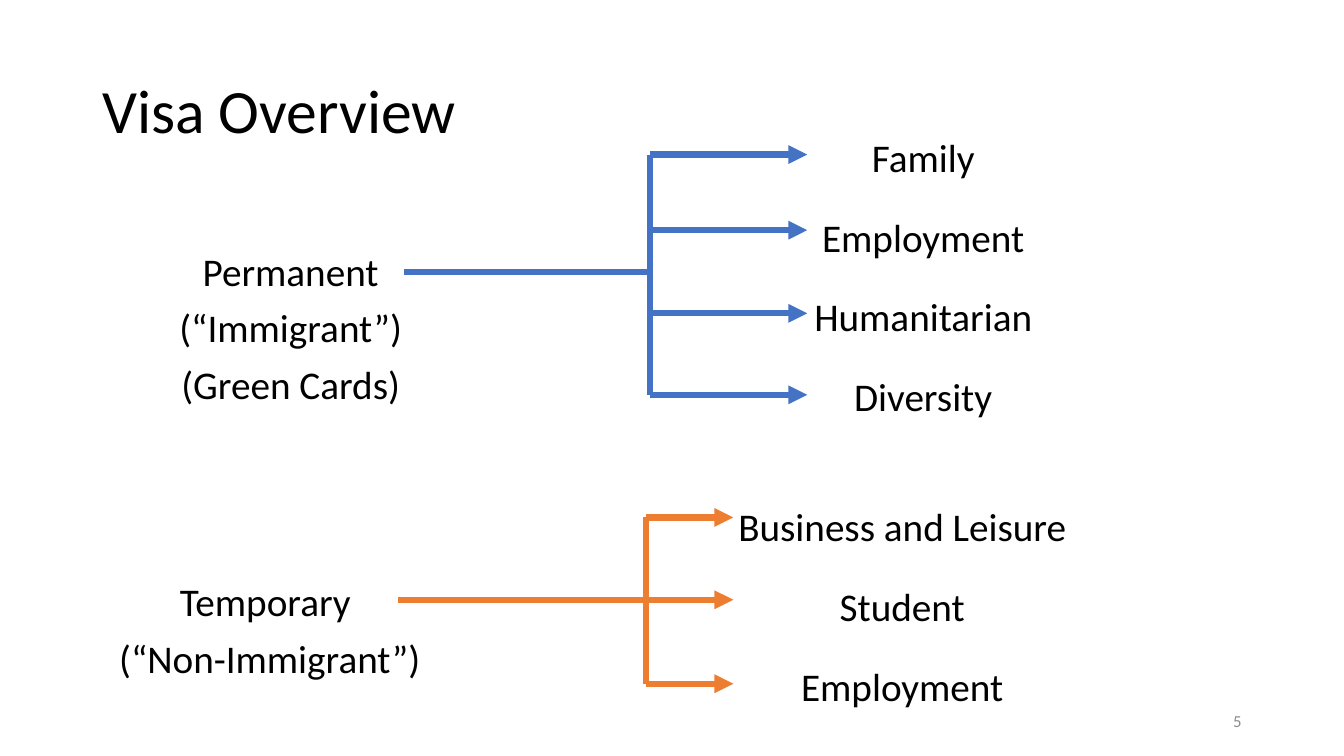
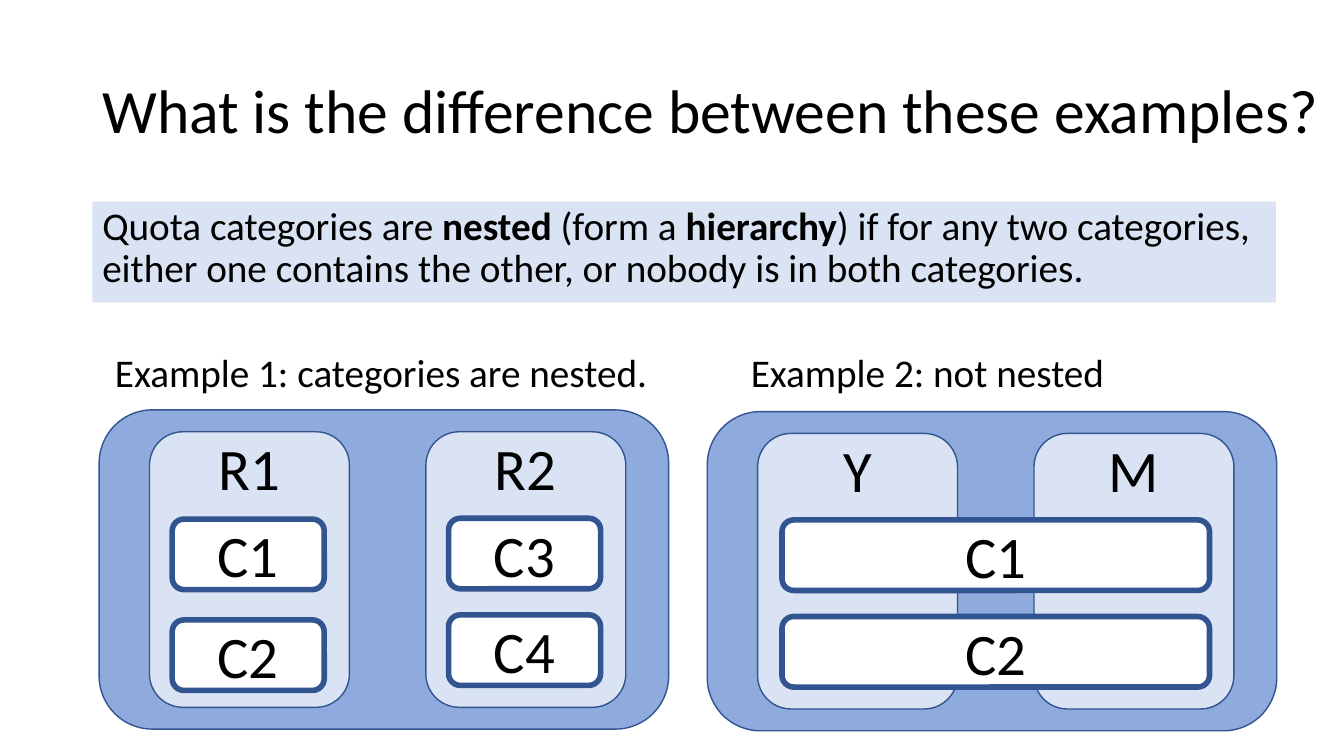
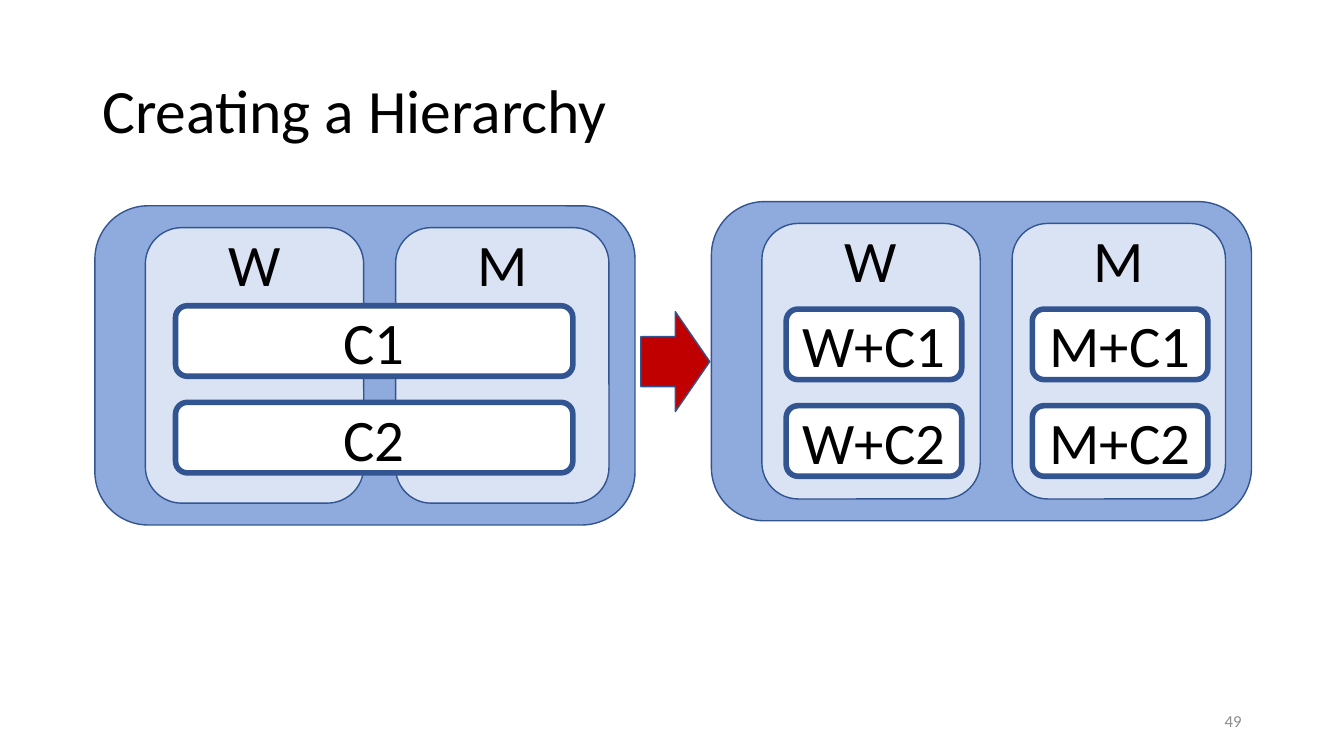
from typing import NamedTuple

from lxml import etree
from pptx import Presentation
from pptx.dml.color import RGBColor
from pptx.enum.shapes import MSO_CONNECTOR, MSO_SHAPE
from pptx.enum.text import MSO_ANCHOR, PP_ALIGN
from pptx.oxml.ns import qn
from pptx.util import Pt

COLUMNS, ROWS, CELL = 160, 90, 76200
FONT = "Calibri"
COLORS = {
    "text": "000000",
    "number": "8C8C8C",
    "permanent": "4472C4",
    "temporary": "ED7D31",
    "population": "8FAADC",
    "group": "DAE3F3",
    "class": "FFFFFF",
    "outline": "325491",
    "arrow": "C00000",
}
LEFT, CENTER, RIGHT = PP_ALIGN.LEFT, PP_ALIGN.CENTER, PP_ALIGN.RIGHT
TOP, MIDDLE = MSO_ANCHOR.TOP, MSO_ANCHOR.MIDDLE
RECTANGLE, ROUNDED = MSO_SHAPE.RECTANGLE, MSO_SHAPE.ROUNDED_RECTANGLE
RIGHT_ARROW = MSO_SHAPE.RIGHT_ARROW
STRAIGHT = MSO_CONNECTOR.STRAIGHT

PANEL_HEIGHT = 38
GROUP_TOP, GROUP_HEIGHT = 2.6, 32.8
CLASS_HEIGHT = 8.4
STEM_WIDTH = 47.2
ENDS_LEFT = 75.3


class Box(NamedTuple):
    left: float
    top: float
    width: float
    height: float

    def inner(self, left, top, width, height):
        return Box(self.left + left, self.top + top, width, height)

    def emu(self):
        return [round(length * CELL) for length in self]


class Group(NamedTuple):
    label: str
    left: float
    width: float


class Stack(NamedTuple):
    labels: list
    left: float
    width: float
    top: float
    pitch: float = 11.5


def rgb(name):
    return RGBColor.from_string(COLORS[name])


def write(shape, paragraphs, size, align=LEFT, anchor=TOP, spacing=1.0,
          before=0, color="text"):
    frame = shape.text_frame
    frame.word_wrap = True
    frame.vertical_anchor = anchor
    frame.text = "\n".join(paragraphs)
    for index, paragraph in enumerate(frame.paragraphs):
        paragraph.alignment = align
        paragraph.line_spacing = spacing
        paragraph.space_before = Pt(before if index else 0)
        for run in paragraph.runs:
            run.font.name = FONT
            run.font.size = Pt(size)
            run.font.color.rgb = rgb(color)
    return frame


def add_text(slide, box, paragraphs, size, **style):
    return write(slide.shapes.add_textbox(*box.emu()), paragraphs, size, **style)


def add_block(slide, preset, box, fill, outline=None):
    block = slide.shapes.add_shape(preset, *box.emu())
    block.shadow.inherit = False
    block.fill.solid()
    block.fill.fore_color.rgb = rgb(fill)
    if outline:
        block.line.color.rgb = rgb("outline")
        block.line.width = Pt(outline)
    else:
        block.line.fill.background()
    return block


def add_line(slide, start, end, color, arrow=False):
    ends = [round(length * CELL) for length in (*start, *end)]
    line = slide.shapes.add_connector(STRAIGHT, *ends)
    line.line.color.rgb = rgb(color)
    line.line.width = Pt(4.5)
    if arrow:
        etree.SubElement(line.line._get_or_add_ln(), qn("a:tailEnd"), type="triangle")
    etree.SubElement(line._element.spPr, qn("a:effectLst"))


def new_slide(deck, title, number=None, title_width=138):
    slide = deck.slides.add_slide(deck.slide_layouts[6])
    add_text(slide, Box(11, 4.8, title_width, 17.4), [title], 44,
             anchor=MIDDLE, spacing=0.9)
    if number:
        add_text(slide, Box(113, 83.4, 36, 4.8), [number], 12, align=RIGHT,
                 anchor=MIDDLE, color="number")
    return slide


def add_branch(slide, box, color, stem, stem_top, ends, stem_line, trunk, tip, levels):
    add_text(slide, box.inner(0, stem_top, STEM_WIDTH, box.height - stem_top),
             stem, 28, align=CENTER, spacing=0.9, before=10)
    add_text(slide, box.inner(ENDS_LEFT, 0, STEM_WIDTH, box.height),
             ends, 28, align=CENTER, spacing=1.4, before=10)
    trunk_x = box.left + trunk
    heights = [box.top + level for level in levels]
    for height in heights:
        add_line(slide, (trunk_x, height), (box.left + tip, height), color, arrow=True)
    add_line(slide, (trunk_x, heights[0]), (trunk_x, heights[-1]), color)
    stem_x, stem_y = stem_line
    add_line(slide, (trunk_x, box.top + stem_y), (box.left + stem_x, box.top + stem_y),
             color)


def add_panel(slide, box, groups, stacks):
    add_block(slide, ROUNDED, box, "population", 1)
    for group in groups:
        area = box.inner(group.left, GROUP_TOP, group.width, GROUP_HEIGHT)
        add_block(slide, ROUNDED, area, "group", 1)
        label = add_text(slide, area.inner(0, 0, group.width, CLASS_HEIGHT),
                         [group.label], 42, align=CENTER)
        label.margin_top = label.margin_bottom = 0
    for stack in stacks:
        for row, label in enumerate(stack.labels):
            area = box.inner(stack.left, stack.top + row * stack.pitch,
                             stack.width, CLASS_HEIGHT)
            write(add_block(slide, ROUNDED, area, "class", 4), [label], 42,
                  align=CENTER, anchor=MIDDLE)


def add_definition(slide, box, parts):
    block = add_block(slide, RECTANGLE, box, "group")
    paragraph = write(block, [parts[0]], 28, spacing=0.9).paragraphs[0]
    for index, part in enumerate(parts[1:], 1):
        run = paragraph.add_run()
        run.text = part
        run.font.name = FONT
        run.font.size = Pt(28)
        run.font.color.rgb = rgb("text")
        run.font.bold = index % 2 == 1


def visa_overview(deck):
    slide = new_slide(deck, "Visa Overview", "5")
    add_branch(slide, Box(11, 13, 122.5, 38.6), "permanent",
               ["Permanent", "(“Immigrant”)", "(Green Cards)"], 16.5,
               ["Family", "Employment", "Humanitarian", "Diversity"],
               stem_line=(37.1, 19.4), trunk=66.4, tip=85.1,
               levels=[5.4, 14.4, 24.3, 34])
    add_branch(slide, Box(8.5, 57, 122.5, 28.8), "temporary",
               ["Temporary ", "(“Non-Immigrant”)"], 11.8,
               ["Business and Leisure", "Student", "Employment"],
               stem_line=(38.9, 14.4), trunk=68.4, tip=78.8,
               levels=[4.6, 14.4, 24.4])


def nested_examples(deck):
    slide = new_slide(deck, "What is the difference between these examples?",
                      title_width=149)
    add_definition(slide, Box(11, 24, 140.9, 12), [
        "Quota categories are ", "nested", " (form a ", "hierarchy",
        ") if for any two categories, either one contains the other, "
        "or nobody is in both categories."])
    captions = {"Example 1: categories are nested.": 12.5,
                "Example 2: not nested": 88.2}
    for caption, left in captions.items():
        add_text(slide, Box(left, 40.9, 70, 6.8), [caption], 28)
    add_panel(slide, Box(11.8, 48.8, 67.8, PANEL_HEIGHT),
              [Group("R1", 6, 23.8), Group("R2", 38.9, 23.8)],
              [Stack(["C1", "C2"], 8.7, 18.1, 13, 12),
               Stack(["C3", "C4"], 41.6, 18.1, 12.9)])
    add_panel(slide, Box(84.2, 49, 67.8, PANEL_HEIGHT),
              [Group("Y", 6, 23.8), Group("M", 38.9, 23.8)],
              [Stack(["C1", "C2"], 8.9, 50.9, 12.9)])


def creating_hierarchy(deck):
    slide = new_slide(deck, "Creating a Hierarchy", "49")
    groups = [Group("W", 6, 26), Group("M", 35.8, 25.4)]
    add_panel(slide, Box(11.3, 24.5, 64.3, PANEL_HEIGHT), groups,
              [Stack(["C1", "C2"], 9.6, 47.3, 11.9)])
    add_block(slide, RIGHT_ARROW, Box(76.3, 37.1, 8.2, 11.9), "arrow", 1)
    add_panel(slide, Box(84.7, 24, 64.3, PANEL_HEIGHT), groups,
              [Stack([f"{group}+C1", f"{group}+C2"], left, 20.9, 12.8)
               for group, left in (("W", 8.9), ("M", 38.2))])


def main():
    deck = Presentation()
    deck.slide_width, deck.slide_height = COLUMNS * CELL, ROWS * CELL
    visa_overview(deck)
    nested_examples(deck)
    creating_hierarchy(deck)
    deck.save("out.pptx")


if __name__ == "__main__":
    main()
